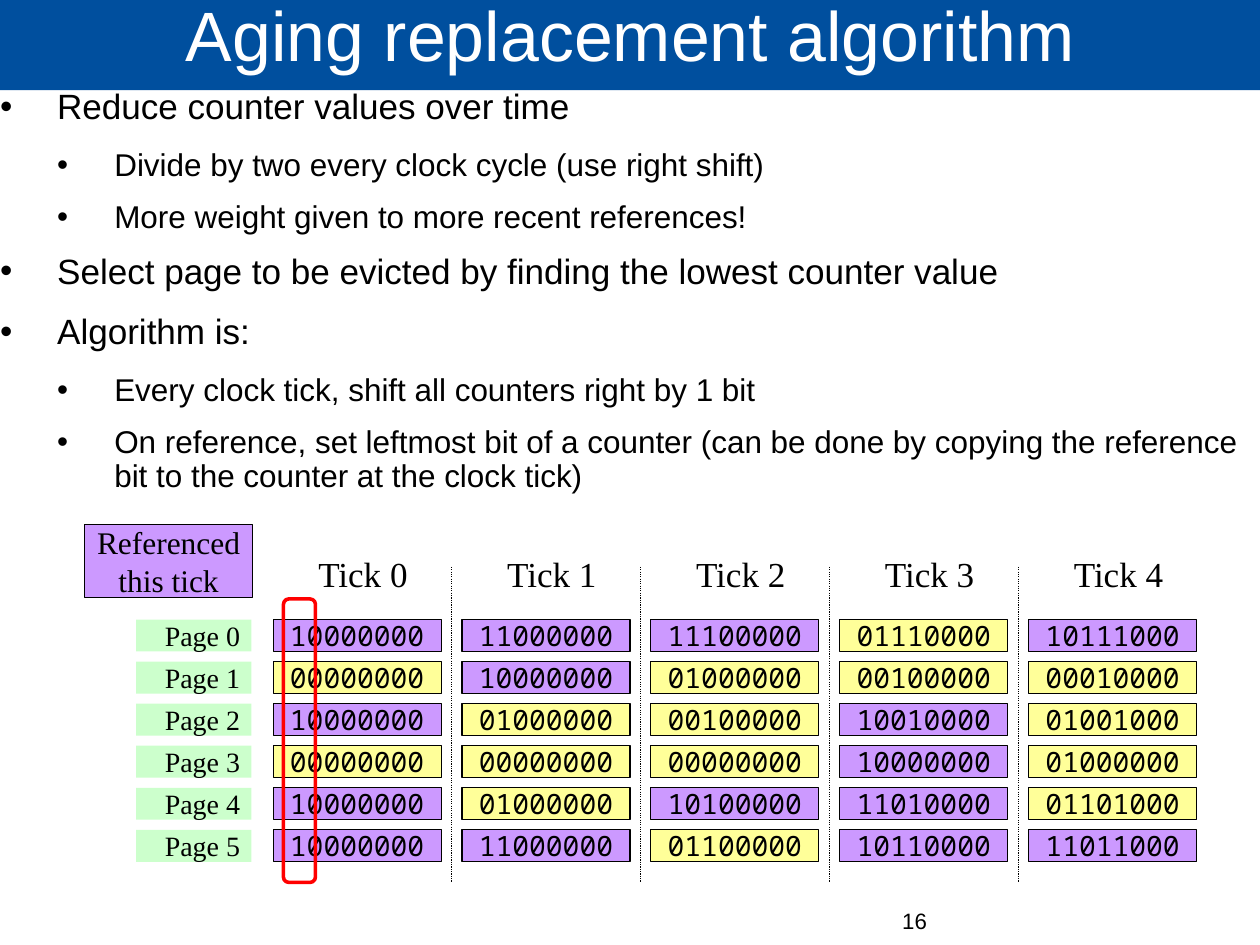
import pptx
import pptx.dml.color
import pptx.enum.dml
import pptx.enum.shapes
import pptx.enum.text
import pptx.oxml
import pptx.oxml.ns
import pptx.util
import lxml.etree

Inches = pptx.util.Inches
Pt = pptx.util.Pt
ALIGN = pptx.enum.text.PP_ALIGN
ANCHOR = pptx.enum.text.MSO_ANCHOR
SHAPE = pptx.enum.shapes.MSO_SHAPE

BLUE, BLACK, WHITE, RED = "004F9E", "000000", "FFFFFF", "FF0000"
PURPLE, YELLOW, GREEN = "CC99FF", "FFFF99", "CCFFCC"
SERIF, MONO, SANS = "Times New Roman", "Noto Sans Mono", "Arial"

POINTS = [
    (0, "Reduce counter values over time"),
    (1, "Divide by two every clock cycle (use right shift)"),
    (1, "More weight given to more recent references!"),
    (0, "Select page to be evicted by finding the lowest counter value"),
    (0, "Algorithm is:"),
    (1, "Every clock tick, shift all counters right by 1 bit"),
    (1, "On reference, set leftmost bit of a counter (can be done by copying "
        "the reference bit to the counter at the clock tick)"),
]

TICKS = [
    ["10000000", "00000000", "10000000", "00000000", "10000000", "10000000"],
    ["11000000", "10000000", "01000000", "00000000", "01000000", "11000000"],
    ["11100000", "01000000", "00100000", "00000000", "10100000", "01100000"],
    ["01110000", "00100000", "10010000", "10000000", "11010000", "10110000"],
    ["10111000", "00010000", "01001000", "01000000", "01101000", "11011000"],
]


def color(value):
    """Turn a hex string into a colour."""
    return pptx.dml.color.RGBColor.from_string(value)


def style(para, font, size, ink=BLACK, align=None):
    """Set the font and alignment of a paragraph."""
    para.font.name = font
    para.font.size = Pt(size)
    para.font.color.rgb = color(ink)
    para.alignment = align


def place(shape, left, top, width, height):
    """Move a text shape and clear its margins and fitting."""
    shape.left, shape.top = Inches(left), Inches(top)
    shape.width, shape.height = Inches(width), Inches(height)
    frame = shape.text_frame
    frame.auto_size = pptx.enum.text.MSO_AUTO_SIZE.NONE
    frame.word_wrap = True
    frame.margin_left = frame.margin_top = 0
    frame.margin_right = frame.margin_bottom = 0
    return frame


def add_box(page, box, fill, text, font, size, line=BLACK, align=ALIGN.CENTER):
    """Draw a filled rectangle with text centred vertically."""
    shape = page.shapes.add_shape(SHAPE.RECTANGLE, *map(Inches, box))
    shape.shadow.inherit = False
    shape.fill.solid()
    shape.fill.fore_color.rgb = color(fill)
    if line:
        shape.line.color.rgb = color(line)
        shape.line.width = Pt(0.75)
    else:
        shape.line.fill.background()
    frame = shape.text_frame
    frame.word_wrap = False
    frame.vertical_anchor = ANCHOR.MIDDLE
    frame.paragraphs[0].text = text
    style(frame.paragraphs[0], font, size, align=align)


def add_title(page, box):
    """Fill the title bar."""
    title = page.shapes.title
    title.fill.solid()
    title.fill.fore_color.rgb = color(BLUE)
    frame = place(title, *box)
    frame.vertical_anchor = ANCHOR.MIDDLE
    para = frame.paragraphs[0]
    para.text = "Aging replacement algorithm"
    para.line_spacing = 0.69
    style(para, SANS, 44, WHITE, ALIGN.CENTER)


def add_bullet(para, level):
    """Give a paragraph a hanging black bullet."""
    props = para._p.get_or_add_pPr()
    props.set("marL", str(Inches(0.5 * (level + 1))))
    props.set("indent", str(Inches(-0.5)))
    tint = lxml.etree.SubElement(props, pptx.oxml.ns.qn("a:buClr"))
    lxml.etree.SubElement(tint, pptx.oxml.ns.qn("a:srgbClr")).set("val", BLACK)
    lxml.etree.SubElement(props, pptx.oxml.ns.qn("a:buFont")).set("typeface", SANS)
    lxml.etree.SubElement(props, pptx.oxml.ns.qn("a:buChar")).set("char", "•")


def add_points(page, box):
    """Fill the body with the two-level list."""
    frame = place(page.placeholders[1], *box)
    frame.vertical_anchor = ANCHOR.TOP
    for index, (level, text) in enumerate(POINTS):
        para = frame.add_paragraph() if index else frame.paragraphs[0]
        para.text = text
        para.level = level
        add_bullet(para, level)
        para.line_spacing = 0.9
        para.space_before = Pt(0)
        para.space_after = Pt(11.4 if level else 14.2)
        style(para, SANS, 19.8 if level else 22.1, align=ALIGN.LEFT)


def add_tick(page, left, top, number, counters, pitch):
    """Draw one tick: heading, divider and the column of counters."""
    heading = page.shapes.add_textbox(
        Inches(left + 0.29), Inches(top), Inches(0.99), Inches(0.47))
    heading.text_frame.word_wrap = False
    para = heading.text_frame.paragraphs[0]
    para.text = f"Tick {number}"
    style(para, SERIF, 22.1, align=ALIGN.CENTER)
    if number:
        across = Inches(left - 0.09)
        divider = page.shapes.add_connector(
            pptx.enum.shapes.MSO_CONNECTOR.STRAIGHT,
            across, Inches(top + 0.18), across, Inches(top + 2.94))
        divider.line.color.rgb = color(BLACK)
        divider.line.width = Pt(0.75)
        divider.line.dash_style = pptx.enum.dml.MSO_LINE.ROUND_DOT
        lxml.etree.SubElement(
            divider._element.spPr, pptx.oxml.ns.qn("a:effectLst"))
    for row, counter in enumerate(counters):
        fill = PURPLE if counter.startswith("1") else YELLOW
        add_box(page, (left, top + 0.64 + row * pitch, 1.47, 0.28),
                fill, counter, MONO, 17.6)


def add_counters(page, box):
    """Draw the legend, page labels, ticks and leftmost-bit highlight."""
    left, top, width, height = box
    column_pitch = (width - 3.12) / (len(TICKS) - 1)
    row_pitch = (height - 1.11) / (len(TICKS[0]) - 1)
    for number, counters in enumerate(TICKS):
        add_tick(page, left + 1.65 + number * column_pitch, top + 0.19,
                 number, counters, row_pitch)
    add_box(page, (left, top, 1.47, 0.64), PURPLE,
            "Referenced\vthis tick", SERIF, 19.8)
    for row in range(len(TICKS[0])):
        add_box(page, (left + 0.45, top + 0.83 + row * row_pitch, 1.01, 0.28),
                GREEN, f"Page {row}", SERIF, 17.6, None, ALIGN.RIGHT)
    highlight = page.shapes.add_shape(
        SHAPE.ROUNDED_RECTANGLE, Inches(left + 1.74), Inches(top + 0.65),
        Inches(0.28), Inches(2.48))
    highlight.shadow.inherit = False
    highlight.fill.background()
    highlight.line.color.rgb = color(RED)
    highlight.line.width = Pt(2.25)


def add_page_number(page, box):
    """Write the page number at the right end of its box."""
    number = page.shapes.add_textbox(*map(Inches, box))
    frame = place(number, *box)
    frame.paragraphs[0].text = "16"
    style(frame.paragraphs[0], SANS, 14, align=ALIGN.RIGHT)


def main():
    """Build and save the deck."""
    deck = pptx.Presentation()
    deck.slide_width, deck.slide_height = Inches(28 / 2.54), Inches(21 / 2.54)
    page = deck.slides.add_slide(deck.slide_layouts[1])
    add_title(page, (0, -0.02, 11.04, 0.81))
    add_points(page, (0, 0.78, 11.04, 7.18))
    add_page_number(page, (3.07, 7.94, 5.04, 0.55))
    add_counters(page, (0.74, 4.59, 9.73, 2.95))
    deck.save("out.pptx")


if __name__ == "__main__":
    main()
